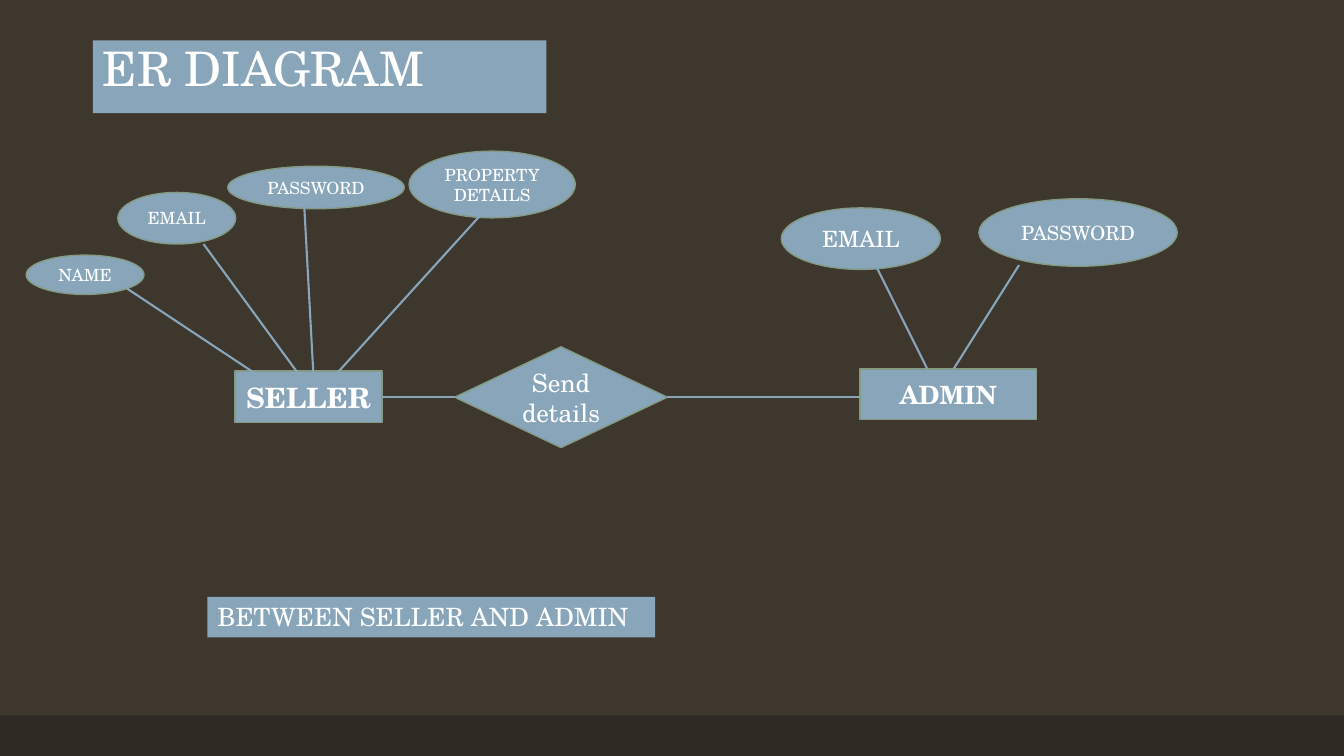
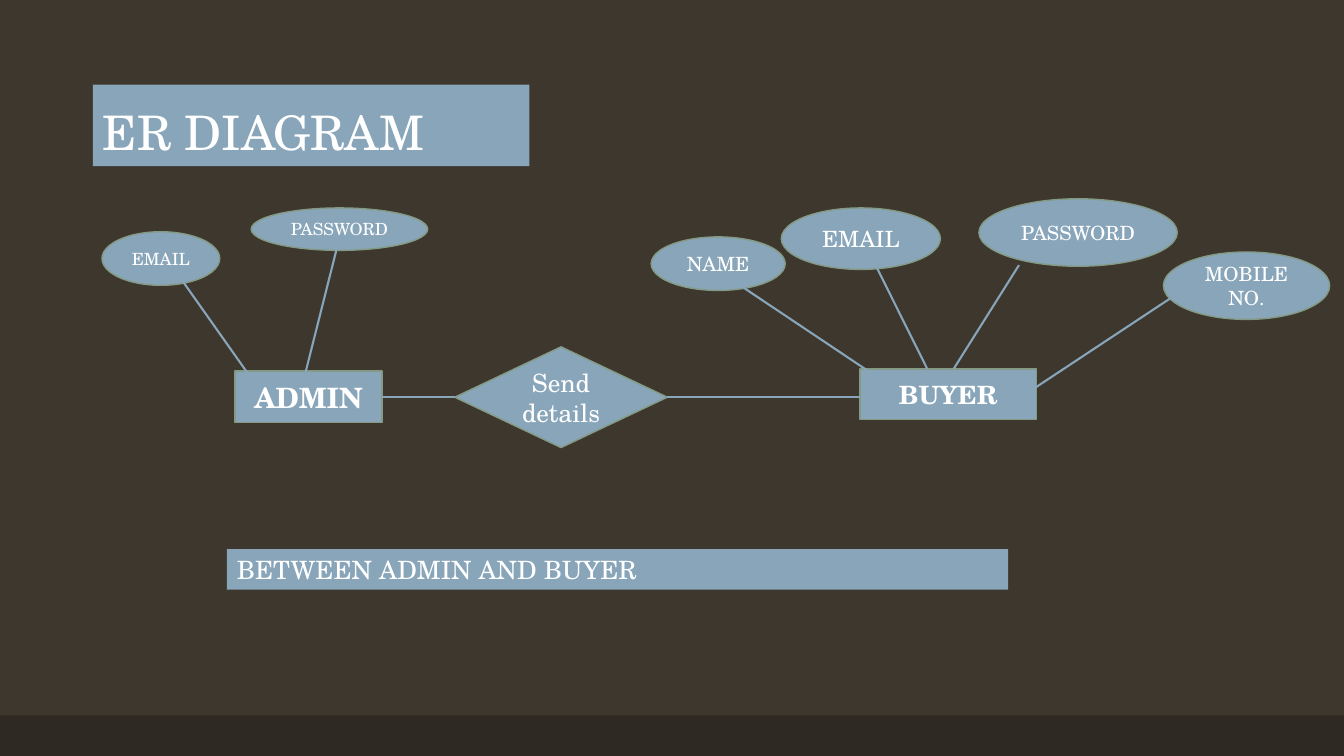
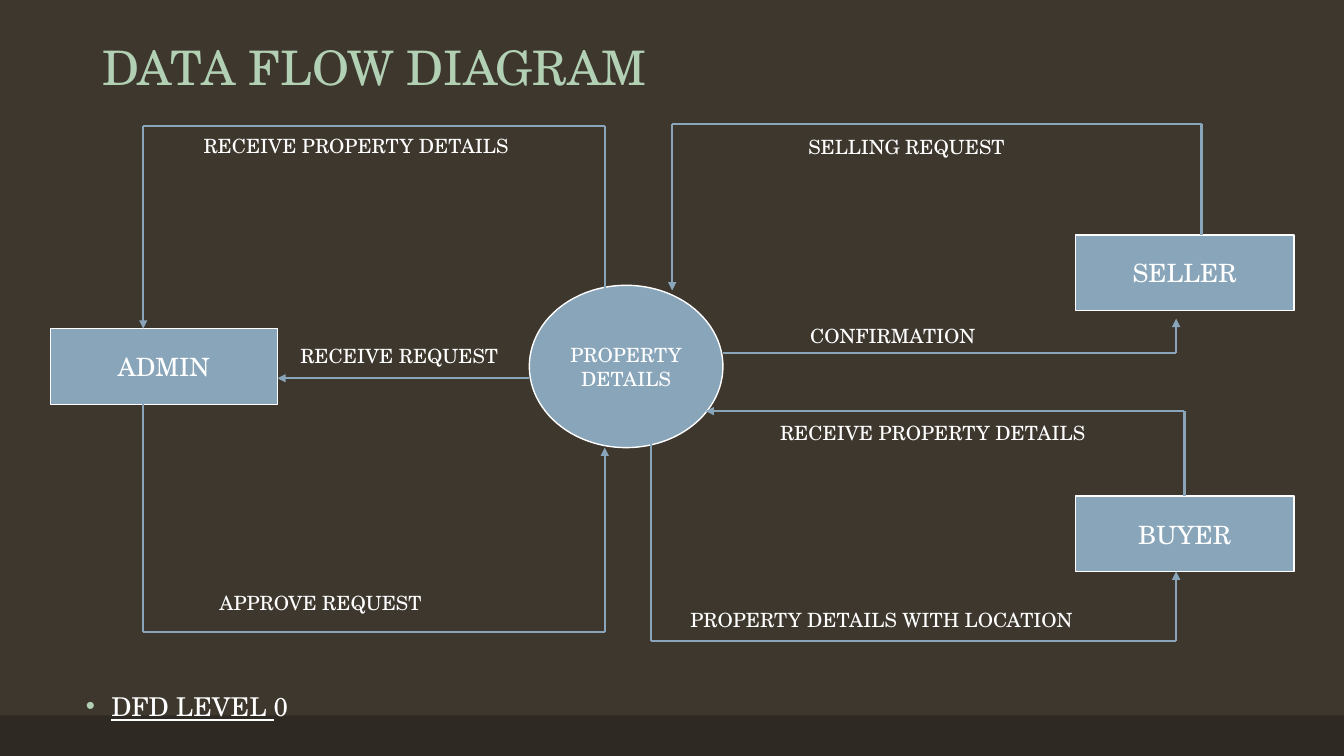
from itertools import pairwise

from lxml.etree import SubElement
from pptx import Presentation
from pptx.dml.color import RGBColor
from pptx.enum.shapes import MSO_CONNECTOR as Link, MSO_SHAPE as Kind
from pptx.enum.text import MSO_ANCHOR as Anchor, MSO_AUTO_SIZE as Fit, PP_ALIGN as Align
from pptx.oxml.ns import qn
from pptx.util import Cm, Pt

BACK = RGBColor(0x3D, 0x37, 0x2E)
BAND = RGBColor(0x2E, 0x29, 0x23)
BLUE = RGBColor(0x88, 0xA5, 0xBA)
SAGE = RGBColor(0x84, 0x9A, 0x85)
MINT = RGBColor(0xB2, 0xD0, 0xB4)
WHITE = RGBColor(0xFF, 0xFF, 0xFF)
FONT = "TeX Gyre Schola"
WIDE, HIGH = 33.87, 19.05

LEFT = (5.92, 9.35, 3.71, 1.3)
RIGHT = (21.67, 9.3, 4.45, 1.27)
SELLER = [
    ("NAME", 12, (-5.26, -2.92, 2.97, 0.99), (-2.72, -2.08), (0.69, 0.18)),
    ("EMAIL", 12, (-2.95, -4.5, 2.97, 1.3), (-0.79, -3.2), (1.68, 0.18)),
    ("PASSWORD", 12, (-0.18, -5.16, 4.45, 1.07), (1.75, -4.11), (1.98, 0.13)),
    ("PROPERTY\nDETAILS", 12, (4.39, -5.54, 4.19, 1.68), (6.2, -3.94), (2.46, 0.18)),
]
ADMIN = [
    ("EMAIL", 12, (-3.35, -3.51, 2.97, 1.35), (-1.37, -2.34), (0.46, 0.25)),
    ("PASSWORD", 12, (0.41, -4.11, 4.45, 1.07), (2.59, -3.18), (1.68, 0.43)),
]
LOGIN = [
    ("EMAIL", 16, (-1.98, -4.06, 4.01, 1.55), (0.36, -2.69), (1.7, 0)),
    ("PASSWORD", 14, (3, -4.29, 5, 1.7), (4.01, -2.62), (2.36, 0)),
]
BUYER = LOGIN + [
    ("NAME", 14, (-5.26, -3.33, 3.38, 1.35), (-3.02, -2.11), (0.36, 0.15)),
    ("MOBILE NO.", 14, (7.65, -2.95, 4.19, 1.7), (7.82, -1.78), (4.01, 0.74)),
]
UNITS = [
    (Kind.FLOWCHART_CONNECTOR, "PROPERTY DETAILS", 14, (12.07, 4.07, 4.88, 4.09)),
    (Kind.RECTANGLE, "SELLER", 18, (25.83, 2.8, 5.51, 1.91)),
    (Kind.RECTANGLE, "BUYER", 18, (25.83, 9.38, 5.51, 1.91)),
    (Kind.RECTANGLE, "ADMIN", 18, (0, 5.16, 5.72, 1.91)),
]
FLOWS = [
    [(16.94, 5.77), (28.37, 5.77), (28.37, 4.91)],
    [(28.58, 9.38), (28.58, 7.24), (16.51, 7.24)],
    [(15.14, 8.01), (15.14, 13.03), (28.37, 13.03), (28.37, 11.28)],
    [(2.34, 6.86), (2.34, 12.81), (13.97, 12.81), (13.97, 8.16)],
    [(12.07, 6.41), (5.72, 6.41)],
    [(13.97, 4.2), (13.97, 0.06), (2.34, 0.06), (2.34, 5.16)],
    [(29.01, 2.8), (29.01, 0), (15.67, 0), (15.67, 4.2)],
]
LABELS = [
    ("SELLING REQUEST", 18.85, 0.16, 6.99),
    ("CONFIRMATION", 18.9, 4.91, 6.25),
    ("RECEIVE PROPERTY DETAILS", 18.14, 7.37, 8.53),
    ("PROPERTY DETAILS WITH LOCATION", 15.88, 12.07, 10.31),
    ("RECEIVE PROPERTY DETAILS", 3.61, 0.13, 8.69),
    ("RECEIVE REQUEST", 6.05, 5.41, 5.72),
    ("APPROVE REQUEST", 4.01, 11.64, 8.18),
]


def write(frame, words, size=18, color=WHITE, bold=False, under=False,
          align=Align.LEFT, anchor=Anchor.TOP, lead=None, more=False):
    """Put formatted text in a frame, or add it to the last paragraph."""
    frame.word_wrap, frame.auto_size = True, Fit.NONE
    frame.vertical_anchor = anchor
    if not more:
        frame.text = "\n" * words.count("\n")
    last = frame.paragraphs[-1:] if more else frame.paragraphs
    for par, part in zip(last, words.split("\n")):
        par.alignment, par.line_spacing = align, lead
        run = par.add_run()
        run.text = part
        font = run.font
        font.name, font.size, font.bold = FONT, Pt(size), bold
        font.underline, font.color.rgb = under, color


def shift(box, x, y):
    """Move a box or point by an offset."""
    return (box[0] + x, box[1] + y, *box[2:])


def block(slide, kind, box, fill=BLUE, edge=None):
    """Add a flat shape."""
    shape = slide.shapes.add_shape(kind, *map(Cm, box))
    shape.shadow.inherit = False
    shape.fill.solid()
    shape.fill.fore_color.rgb = fill
    if edge is None:
        shape.line.fill.background()
    else:
        shape.line.color.rgb, shape.line.width = edge, Pt(1)
    return shape


def node(slide, kind, box, words, edge=SAGE, **style):
    """Add an outlined shape with centred text."""
    shape = block(slide, kind, box, edge=edge)
    write(shape.text_frame, words, align=Align.CENTER, anchor=Anchor.MIDDLE, **style)


def route(slide, points, arrow=False):
    """Join points with straight lines, with an arrow at the end if asked."""
    for start, end in pairwise(points):
        line = slide.shapes.add_connector(Link.STRAIGHT, *map(Cm, start + end))
        line.line.color.rgb, line.line.width = BLUE, Pt(1.5)
        SubElement(line.element.spPr, qn("a:effectLst"))
    if arrow:
        SubElement(line.element.spPr.find(qn("a:ln")), qn("a:tailEnd"), type="triangle")


def place(shape, box):
    """Move a placeholder to a box."""
    shape.left, shape.top, shape.width, shape.height = map(Cm, box)


def title(slide, words, box, color=WHITE, fill=None, anchor=Anchor.BOTTOM):
    """Set the slide title."""
    head = slide.shapes.title
    place(head, box)
    if fill is not None:
        head.fill.solid()
        head.fill.fore_color.rgb = fill
    write(head.text_frame, words, size=34, color=color, anchor=anchor, lead=0.9)


def entity(slide, box, name, size, attrs):
    """Draw an entity and its attributes around its box."""
    x, y = box[:2]
    node(slide, Kind.RECTANGLE, box, name, size=size, bold=True)
    for words, pts, oval, start, end in attrs:
        node(slide, Kind.OVAL, shift(oval, x, y), words, size=pts)
        route(slide, [shift(start, x, y), shift(end, x, y)])


def relate(slide, box):
    """Draw the relation diamond and its links to both entities."""
    x, y, w, h = box
    node(slide, Kind.DIAMOND, box, "Send\ndetails")
    mid = y + h / 2
    route(slide, [(LEFT[0] + LEFT[2], mid), (x, mid)])
    route(slide, [(x + w, mid), (RIGHT[0], mid)])


def model(slide, head, anchor, left, right, note, foot):
    """Build an entity relation slide."""
    title(slide, "ER DIAGRAM", head, fill=BLUE, anchor=anchor)
    entity(slide, LEFT, left[0], 20, left[1])
    entity(slide, RIGHT, right[0], 18, right[1])
    relate(slide, (11.46, 8.74, 5.36, 2.54))
    write(block(slide, Kind.RECTANGLE, foot).text_frame, note)


def level(body, box):
    """Write the bulleted level line."""
    place(body, box)
    frame = body.text_frame
    write(frame, "DFD LEVEL ", size=18.5, under=True, lead=0.7)
    write(frame, "0", size=18.5, lead=0.7, more=True)
    par = frame.paragraphs[0]
    par.space_before = Pt(18)
    props = par._p.get_or_add_pPr()
    props.set("marL", str(Cm(0.64)))
    props.set("indent", str(Cm(-0.64)))
    SubElement(SubElement(props, qn("a:buClr")), qn("a:srgbClr"), val=str(MINT))
    SubElement(props, qn("a:buFont"), typeface="Arial")
    SubElement(props, qn("a:buChar"), char="•")


def flow(slide, x, y):
    """Draw the data flow diagram from its top left corner."""
    for kind, words, size, box in UNITS:
        node(slide, kind, shift(box, x, y), words, edge=WHITE, size=size)
    for points in FLOWS:
        route(slide, [shift(point, x, y) for point in points], arrow=True)
    for words, left, top, wide in LABELS:
        box = slide.shapes.add_textbox(*map(Cm, shift((left, top, wide, 0.86), x, y)))
        write(box.text_frame, words, size=14)


def dress(deck, slide):
    """Set the master background and move a footer band onto the master."""
    master = deck.slide_master
    master.background.fill.solid()
    master.background.fill.fore_color.rgb = BACK
    band = block(slide, Kind.RECTANGLE, (0, 18.03, WIDE, 1.02), fill=BAND)
    master.element.cSld.spTree.insert(2, band.element)


def main():
    """Build and save the deck."""
    deck = Presentation()
    deck.slide_width, deck.slide_height = Cm(WIDE), Cm(HIGH)
    first, second, third = (deck.slides.add_slide(deck.slide_layouts[i]) for i in (5, 5, 1))
    dress(deck, first)
    model(first, (2.34, 1.02, 11.43, 1.83), Anchor.TOP, ("SELLER", SELLER),
          ("ADMIN", LOGIN), "BETWEEN SELLER AND ADMIN", (5.23, 15.04, 11.28, 1.02))
    model(second, (2.34, 2.13, 11, 2.06), Anchor.BOTTOM, ("ADMIN", ADMIN),
          ("BUYER", BUYER), "BETWEEN ADMIN AND BUYER", (5.72, 13.84, 19.69, 1.02))
    title(third, "DATA FLOW DIAGRAM", (2.34, 0.94, 29.21, 1.6), color=MINT)
    level(third.placeholders[1], (1.91, 17.5, 29.21, 0.86))
    flow(third, 1.27, 3.12)
    deck.save("out.pptx")


if __name__ == "__main__":
    main()
